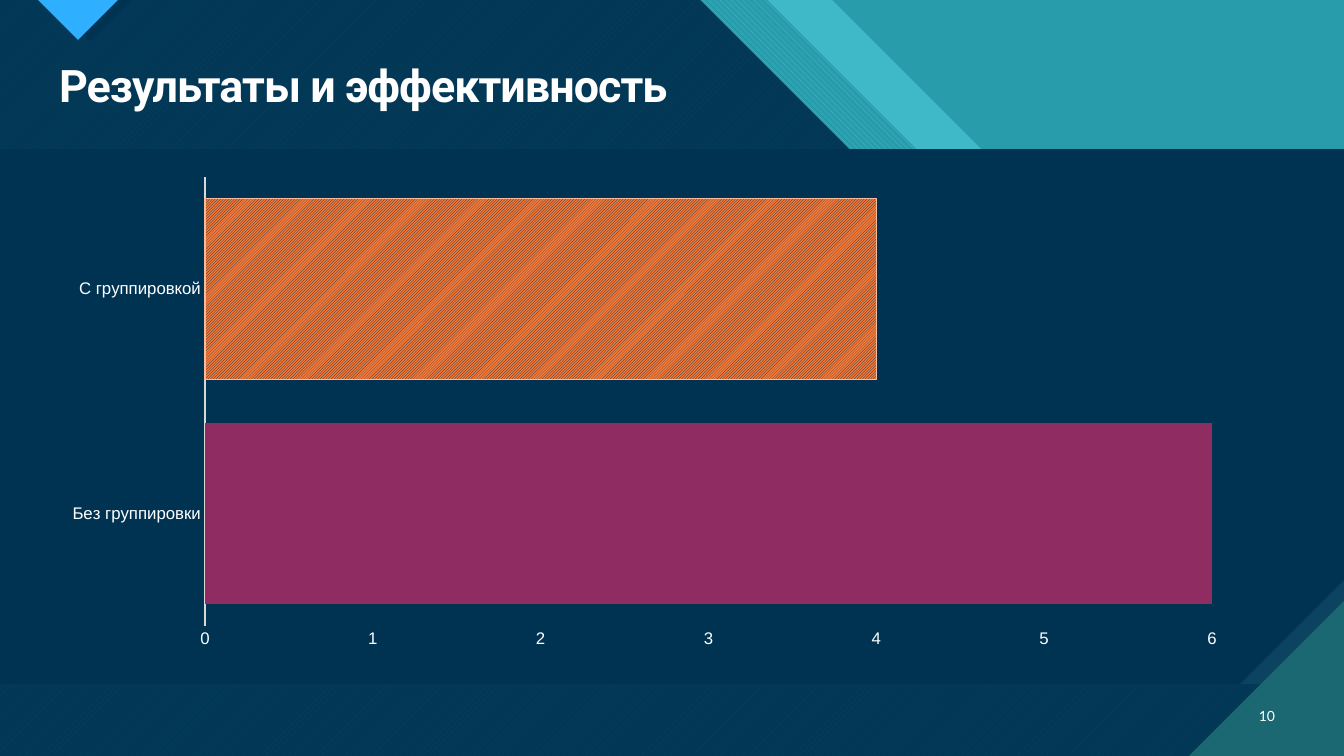
"""Builds a slide that compares results with and without grouping in a bar chart."""
from dataclasses import dataclass

from lxml.etree import SubElement
from pptx import Presentation
from pptx.chart.data import CategoryChartData
from pptx.dml.color import RGBColor
from pptx.enum.chart import XL_CHART_TYPE, XL_TICK_MARK
from pptx.enum.dml import MSO_PATTERN
from pptx.enum.text import MSO_ANCHOR, MSO_AUTO_SIZE, PP_ALIGN
from pptx.oxml.ns import qn
from pptx.util import Emu, Pt


@dataclass(frozen=True)
class Theme:
    teal: str = "299CAB"
    aqua: str = "47C3D3"
    deep_teal: str = "1B6872"
    navy: str = "003352"
    navy_light: str = "0C4360"
    blue: str = "2FAFFF"
    white: str = "FFFFFF"
    axis: str = "D9D9D9"
    plum: str = "8F2D63"
    orange: str = "F47735"
    peach: str = "F9BB9A"
    title_font: str = "Roboto"
    number_font: str = "Lato"
    chart_font: str = "Arial"
    title_size: int = 32
    chart_size: int = 12
    number_size: int = 10


THEME = Theme()
EMU_PER_PX = 914400 / 100.8
WIDTH, HEIGHT = 1344, 756

TITLE = "Результаты и эффективность"
PAGE_NUMBER = "10"
RESULTS = {"Без группировки": 6, "С группировкой": 4}
SERIES_NAME = "Series 1"
AXIS_MAXIMUM = 6

TITLE_BOX = (49, 59, 1236, 108)
NUMBER_BOX = (1241, 696, 44, 40)
CHART_BOX = (49, 167, 1191, 490)
PLOT_BOX = (205, 177, 1007, 449)
PANEL_TOP, PANEL_BOTTOM, PANEL_SNIP = 149, 684, 104
STEP = 300
CORNER = 155


def px(length):
    return Emu(round(length * EMU_PER_PX))


def color(value):
    return RGBColor.from_string(value)


def stepped_outline(edge, shoulder):
    rise = WIDTH - shoulder
    return [(0, 0), (edge, 0), (edge + STEP, STEP), (shoulder, STEP),
            (WIDTH, STEP + rise), (WIDTH, HEIGHT), (0, HEIGHT)]


def panel_outline(snip):
    return [(0, PANEL_TOP), (WIDTH, PANEL_TOP), (WIDTH, PANEL_BOTTOM - snip),
            (WIDTH - snip, PANEL_BOTTOM), (0, PANEL_BOTTOM)]


def chevron_outline(center, depth):
    return [(center - depth, 0), (center, depth), (center + depth, 0)]


DARK_AREA = stepped_outline(700, 1127)
CORNER_AREA = [(WIDTH - CORNER, HEIGHT), (WIDTH, HEIGHT), (WIDTH, HEIGHT - CORNER)]
BACKDROP = [
    (stepped_outline(832, 1244), THEME.aqua, None, None, 74),
    (stepped_outline(767, 1193), THEME.aqua, THEME.teal, MSO_PATTERN.WIDE_DOWNWARD_DIAGONAL, 100),
    (DARK_AREA, THEME.aqua, THEME.deep_teal, MSO_PATTERN.WIDE_UPWARD_DIAGONAL, 100),
    (DARK_AREA, THEME.navy, None, None, 90),
    (chevron_outline(90, 41), THEME.navy, None, None, 100),
    (chevron_outline(78, 40), THEME.blue, None, None, 100),
    (panel_outline(0), THEME.navy_light, None, None, 100),
    (panel_outline(PANEL_SNIP), THEME.navy, None, None, 100),
    (CORNER_AREA, THEME.deep_teal, None, None, 100),
]


def set_fill(fill, front, back=None, pattern=None):
    if pattern is None:
        fill.solid()
        fill.fore_color.rgb = color(front)
        return
    fill.patterned()
    fill.pattern = pattern
    fill.fore_color.rgb = color(front)
    fill.back_color.rgb = color(back)


def set_font(font, name, size, bold=False):
    font.name, font.size, font.bold = name, Pt(size), bold
    font.color.rgb = color(THEME.white)


def add_outline(slide, points, front, back, pattern, opacity):
    builder = slide.shapes.build_freeform(*points[0], scale=EMU_PER_PX)
    builder.add_line_segments(points[1:], close=True)
    shape = builder.convert_to_shape()
    shape.shadow.inherit = False
    shape.line.fill.background()
    set_fill(shape.fill, front, back, pattern)
    if opacity < 100:
        tint = shape._element.spPr.find(".//" + qn("a:srgbClr"))
        SubElement(tint, qn("a:alpha")).set("val", str(opacity * 1000))


def place_title(slide):
    title = slide.shapes.title
    title.left, title.top, title.width, title.height = map(px, TITLE_BOX)
    slide.shapes._spTree.append(title._element)
    frame = title.text_frame
    frame.text = TITLE
    frame.auto_size = MSO_AUTO_SIZE.NONE
    frame.vertical_anchor = MSO_ANCHOR.TOP
    paragraph = frame.paragraphs[0]
    paragraph.alignment = PP_ALIGN.LEFT
    paragraph.line_spacing = 0.9
    set_font(paragraph.font, THEME.title_font, THEME.title_size, bold=True)
    paragraph.runs[0]._r.get_or_add_rPr().set("spc", "-70")


def add_page_number(slide):
    frame = slide.shapes.add_textbox(*map(px, NUMBER_BOX)).text_frame
    frame.word_wrap = True
    frame.vertical_anchor = MSO_ANCHOR.MIDDLE
    paragraph = frame.paragraphs[0]
    paragraph.text = PAGE_NUMBER
    paragraph.alignment = PP_ALIGN.RIGHT
    set_font(paragraph.font, THEME.number_font, THEME.number_size)


def fix_plot_area(chart):
    left, top, width, height = CHART_BOX
    plot_left, plot_top, plot_width, plot_height = PLOT_BOX
    plot_area = chart._chartSpace.chart.plotArea
    for layout in plot_area.findall(qn("c:layout")):
        plot_area.remove(layout)
    layout = SubElement(plot_area, qn("c:layout"))
    plot_area.insert(0, layout)
    manual = SubElement(layout, qn("c:manualLayout"))
    settings = {
        "layoutTarget": "inner", "xMode": "edge", "yMode": "edge",
        "x": (plot_left - left) / width, "y": (plot_top - top) / height,
        "w": plot_width / width, "h": plot_height / height,
    }
    for name, value in settings.items():
        SubElement(manual, qn(f"c:{name}")).set("val", str(value))


def add_results_chart(slide):
    data = CategoryChartData()
    data.categories = list(RESULTS)
    data.add_series(SERIES_NAME, list(RESULTS.values()))
    chart = slide.shapes.add_chart(
        XL_CHART_TYPE.BAR_CLUSTERED, *map(px, CHART_BOX), data).chart
    chart.has_legend = False
    chart.has_title = False
    set_font(chart.font, THEME.chart_font, THEME.chart_size)
    for axis in (chart.category_axis, chart.value_axis):
        axis.has_major_gridlines = False
        axis.major_tick_mark = axis.minor_tick_mark = XL_TICK_MARK.NONE
        set_font(axis.tick_labels.font, THEME.chart_font, THEME.chart_size)
    chart.category_axis.format.line.color.rgb = color(THEME.axis)
    chart.category_axis.format.line.width = Pt(0.75)
    value_axis = chart.value_axis
    value_axis.format.line.fill.background()
    value_axis.minimum_scale, value_axis.maximum_scale = 0, AXIS_MAXIMUM
    value_axis.major_unit = 1
    plot = chart.plots[0]
    plot.gap_width = 24
    plot.vary_by_categories = False
    series = plot.series[0]
    set_fill(series.format.fill, THEME.plum)
    grouped_bar = series.points[1].format
    set_fill(grouped_bar.fill, THEME.navy, THEME.orange, MSO_PATTERN.LIGHT_UPWARD_DIAGONAL)
    grouped_bar.line.color.rgb = color(THEME.peach)
    grouped_bar.line.width = Pt(1)
    fix_plot_area(chart)


def main():
    presentation = Presentation()
    presentation.slide_width, presentation.slide_height = px(WIDTH), px(HEIGHT)
    slide = presentation.slides.add_slide(presentation.slide_layouts.get_by_name("Title Only"))
    set_fill(slide.background.fill, THEME.teal)
    for outline in BACKDROP:
        add_outline(slide, *outline)
    place_title(slide)
    add_page_number(slide)
    add_results_chart(slide)
    presentation.save("out.pptx")


if __name__ == "__main__":
    main()
